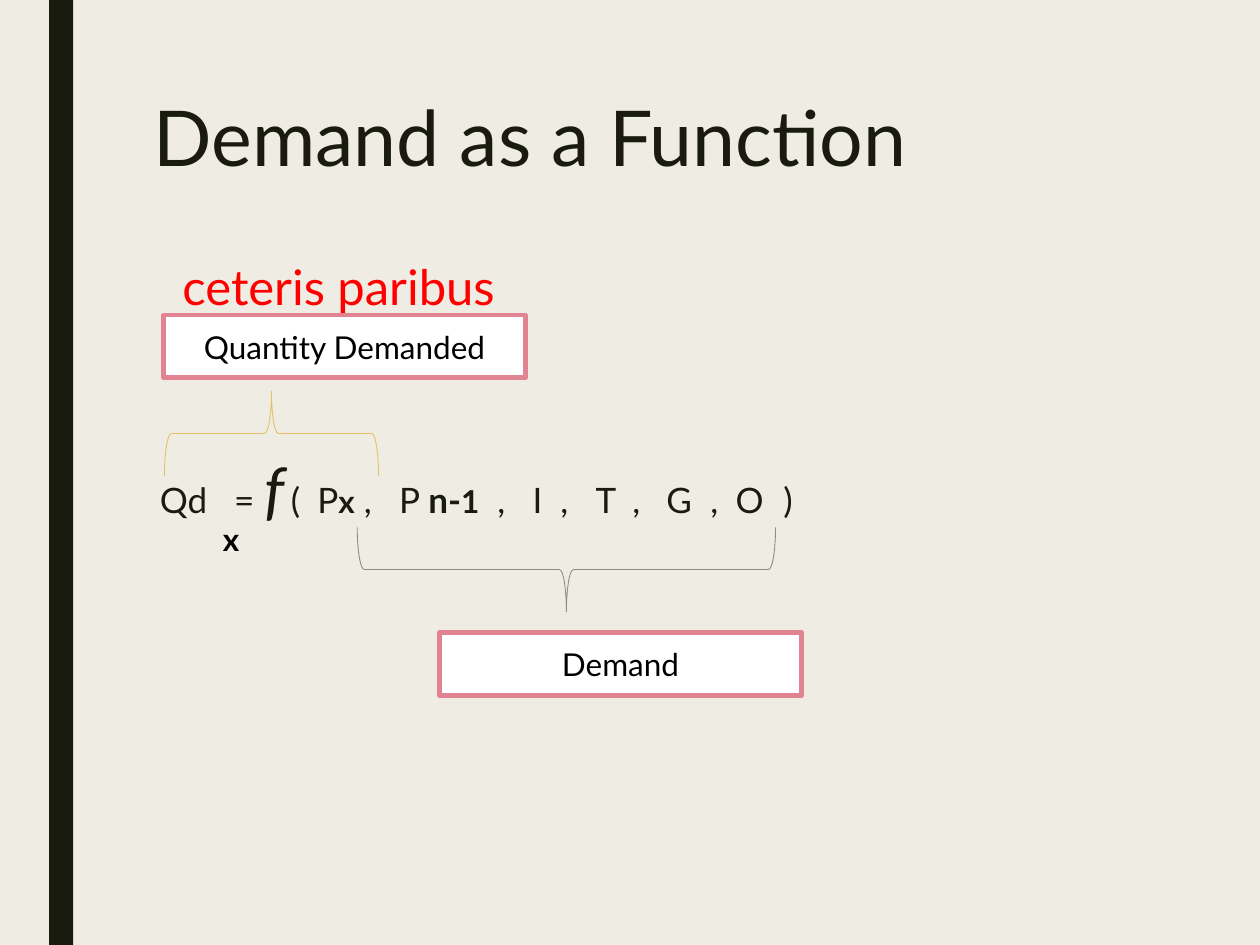
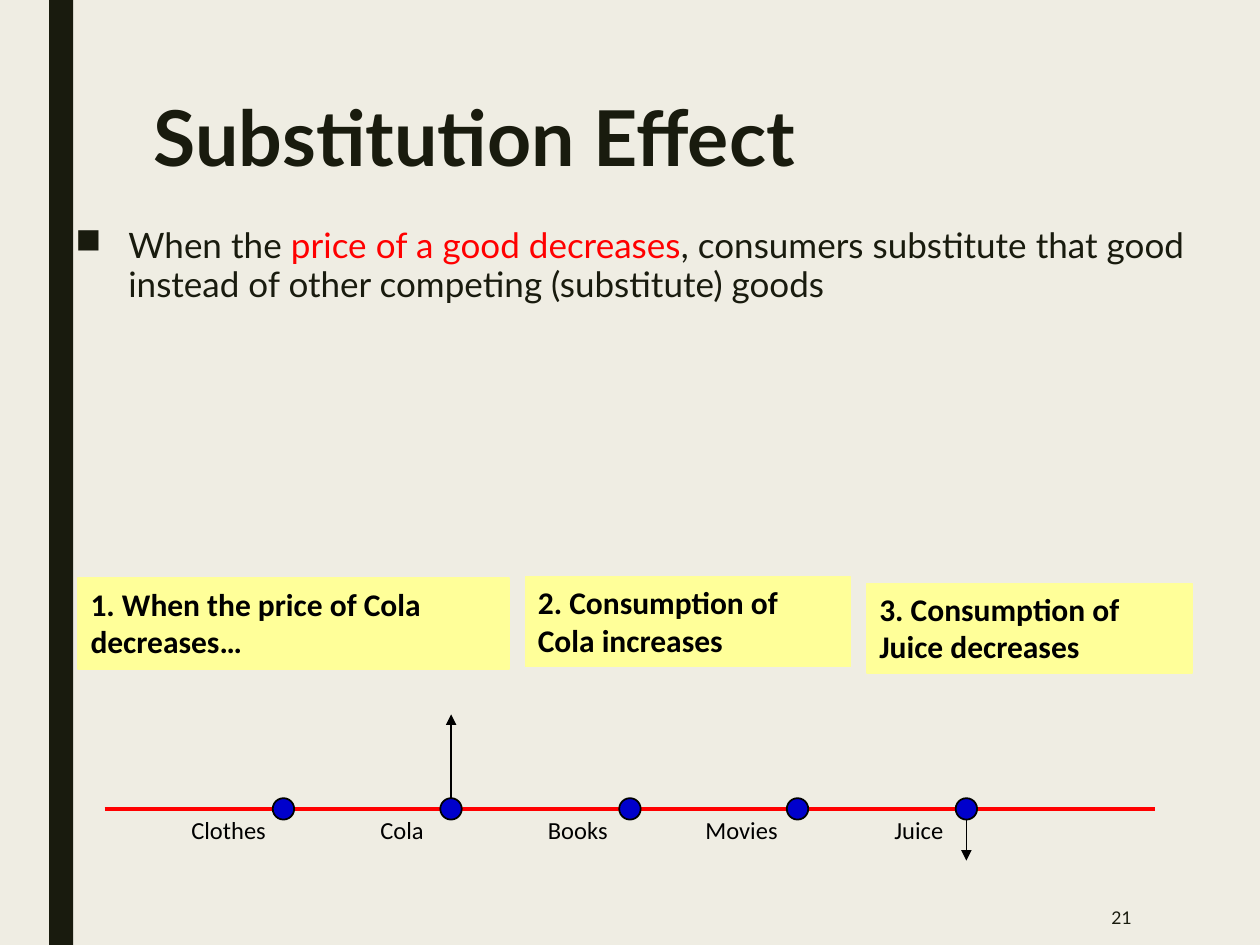
from lxml.etree import SubElement
from pptx import Presentation
from pptx.dml.color import RGBColor
from pptx.enum.shapes import MSO_CONNECTOR, MSO_SHAPE
from pptx.enum.text import MSO_ANCHOR, MSO_AUTO_SIZE, PP_ALIGN
from pptx.oxml.ns import qn
from pptx.util import Inches, Pt

CREAM = RGBColor(0xEF, 0xED, 0xE3)
INK = RGBColor(0x19, 0x1B, 0x0E)
BLACK = RGBColor(0, 0, 0)
WHITE = RGBColor(0xFF, 0xFF, 0xFF)
RED = RGBColor(0xFF, 0, 0)
PINK = RGBColor(0xE2, 0x83, 0x94)
GOLD = RGBColor(0xE6, 0xC0, 0x69)
GREY = RGBColor(0x8C, 0x8D, 0x86)
BLUE = RGBColor(0, 0, 0xCC)
YELLOW = RGBColor(0xFF, 0xFF, 0x99)
HEADING_FONT, LABEL_FONT = "Lato", "Calibri"

# Tab stop in inches (None: follows directly), text, size, bold, italic
DEMAND_FORMULA = [
    (None, "Qd", 20, False, False), (0.59, "=", 20, False, False),
    (0.83, "f", 36, False, True), (1.04, "(", 20, False, False),
    (1.25, "P", 20, False, False), (None, "x", 18, True, False),
    (1.62, ",", 20, False, False), (1.9, "P ", 20, False, False),
    (None, "n-", 20, True, False), (None, "1", 18, True, False),
    (2.68, ",", 20, False, False), (2.96, "I", 20, False, False),
    (3.18, ",", 20, False, False), (3.46, "T", 20, False, False),
    (3.75, ",", 20, False, False), (4.02, "G", 20, False, False),
    (4.37, ",", 20, False, False), (4.57, "O", 20, False, False),
    (4.95, ")", 20, False, False),
]
# Unrotated frame, rotation, colour
BRACES = [((4.16, 2.86, 0.67, 3.32), 90, GREY), ((1.82, 2.59, 0.67, 1.7), 270, GOLD)]
# Text, left, top
TERM_BOXES = [("Quantity Demanded", 1.3, 2.5), ("Demand", 3.49, 5.02)]

SUBSTITUTION_TEXT = [
    ("When the ", INK),
    ("price of a good decreases", RED),
    (", consumers substitute that good instead of other competing (substitute) goods", INK),
]
# Text, frame
STEPS = [
    ("1. When the price of Cola decreases…", (0.62, 4.59, 3.42, 0.72)),
    ("2. Consumption of Cola increases", (4.17, 4.58, 2.58, 0.71)),
    ("3. Consumption of Juice decreases", (6.88, 4.63, 2.58, 0.71)),
]
# Name, label left, dot centre, where its arrow ends
GOODS = [
    ("Clothes", 1.42, 2.25, None),
    ("Cola", 2.92, 3.58, 5.67),
    ("Books", 4.25, 5.0, None),
    ("Movies", 5.5, 6.33, None),
    ("Juice", 7.0, 7.67, 6.83),
]
AXIS_Y, DOT_SIZE = 6.42, 0.17


def inches(frame):
    return [Inches(length) for length in frame]


def style_run(run, size, color=INK, font=HEADING_FONT, bold=False, italic=False):
    run.font.name = font
    run.font.size = Pt(size)
    run.font.color.rgb = color
    run.font.bold = bold
    run.font.italic = italic


def add_run(paragraph, text, size, **style):
    run = paragraph.add_run()
    run.text = text
    style_run(run, size, **style)


def add_text_box(slide, frame, wrap=True):
    text_frame = slide.shapes.add_textbox(*inches(frame)).text_frame
    text_frame.word_wrap = wrap
    return text_frame


def add_shape(slide, kind, frame, fill=None, line=None, width=1):
    shape = slide.shapes.add_shape(kind, *inches(frame))
    shape.shadow.inherit = False
    if fill is None:
        shape.fill.background()
    else:
        shape.fill.solid()
        shape.fill.fore_color.rgb = fill
    if line is None:
        shape.line.fill.background()
    else:
        shape.line.color.rgb = line
        shape.line.width = Pt(width)
    return shape


def add_line(slide, start, end, color, width, arrow=False):
    connector = slide.shapes.add_connector(MSO_CONNECTOR.STRAIGHT, *inches(start + end))
    connector.line.color.rgb = color
    connector.line.width = Pt(width)
    properties = connector._element.spPr
    if arrow:
        SubElement(properties.find(qn("a:ln")), qn("a:tailEnd"), type="triangle")
    SubElement(properties, qn("a:effectLst"))


def add_slide(presentation, title, bold=False):
    """Add a slide with the dark side band and a title."""
    slide = presentation.slides.add_slide(presentation.slide_layouts[5])
    add_shape(slide, MSO_SHAPE.RECTANGLE, (0.39, 0, 0.19, 7.5), INK)
    placeholder = slide.shapes.title
    placeholder.left, placeholder.top, placeholder.width, placeholder.height = inches(
        (1.12, 0.75, 7.88, 1.62))
    text_frame = placeholder.text_frame
    text_frame.text = title
    text_frame.auto_size = MSO_AUTO_SIZE.NONE
    text_frame.vertical_anchor = MSO_ANCHOR.TOP
    paragraph = text_frame.paragraphs[0]
    paragraph.alignment = PP_ALIGN.LEFT
    paragraph.line_spacing = 0.89
    style_run(paragraph.runs[0], 44, bold=bold)
    return slide


def add_formula(paragraph):
    tab_list = SubElement(paragraph._p.get_or_add_pPr(), qn("a:tabLst"))
    for stop, text, size, bold, italic in DEMAND_FORMULA:
        if stop is not None:
            SubElement(tab_list, qn("a:tab"), pos=str(Inches(stop)), algn="l")
            add_run(paragraph, "\t", 20)
        add_run(paragraph, text, size, bold=bold, italic=italic)


def build_demand_slide(presentation):
    slide = add_slide(presentation, "Demand as a Function")
    text_frame = add_text_box(slide, (1.17, 1.75, 8.33, 3.92))
    condition = text_frame.paragraphs[0]
    condition.line_spacing = 1.5
    condition.space_after = Pt(2)
    condition._p.get_or_add_pPr().set("marL", str(Inches(0.18)))
    add_run(condition, "ceteris paribus", 28, color=RED)
    formula = text_frame.add_paragraph()
    formula.line_spacing = 0.94
    formula.space_before = Pt(79)
    add_formula(formula)

    subscript = add_text_box(slide, (1.67, 4.08, 0.32, 0.4), wrap=False)
    add_run(subscript.paragraphs[0], "x", 18, color=BLACK, bold=True)

    for frame, rotation, color in BRACES:
        brace = add_shape(slide, MSO_SHAPE.RIGHT_BRACE, frame, line=color, width=0.5)
        brace.rotation = rotation
    for text, left, top in TERM_BOXES:
        box = add_shape(slide, MSO_SHAPE.RECTANGLE, (left, top, 2.87, 0.5), WHITE, PINK, 2.75)
        box.text_frame.vertical_anchor = MSO_ANCHOR.MIDDLE
        paragraph = box.text_frame.paragraphs[0]
        paragraph.alignment = PP_ALIGN.CENTER
        add_run(paragraph, text, 18, color=BLACK)


def add_goods_axis(slide):
    for _, _, center, arrow_end in GOODS:
        if arrow_end is not None:
            add_line(slide, (center, AXIS_Y), (center, arrow_end), BLACK, 1, arrow=True)
    add_line(slide, (0.83, AXIS_Y), (9.17, AXIS_Y), RED, 2.25)
    radius = DOT_SIZE / 2
    for name, label_left, center, _ in GOODS:
        width = center + radius - label_left
        label = add_text_box(slide, (label_left, AXIS_Y, width, 0.33))
        add_run(label.paragraphs[0], name, 14, color=BLACK, font=LABEL_FONT)
        dot_frame = (center - radius, AXIS_Y - radius, DOT_SIZE, DOT_SIZE)
        add_shape(slide, MSO_SHAPE.OVAL, dot_frame, BLUE, BLACK)


def build_substitution_slide(presentation):
    slide = add_slide(presentation, "Substitution Effect", bold=True)
    paragraph = add_text_box(slide, (0.5, 1.75, 9, 1.8)).paragraphs[0]
    paragraph.alignment = PP_ALIGN.JUSTIFY
    paragraph.line_spacing = 0.94
    properties = paragraph._p.get_or_add_pPr()
    properties.set("marL", str(Inches(0.42)))
    properties.set("indent", str(Inches(-0.42)))
    SubElement(properties, qn("a:buChar"), char="■")
    for text, color in SUBSTITUTION_TEXT:
        add_run(paragraph, text, 20, color=color)

    add_goods_axis(slide)
    for text, frame in STEPS:
        box = add_shape(slide, MSO_SHAPE.RECTANGLE, frame, YELLOW, YELLOW)
        box.text_frame.vertical_anchor = MSO_ANCHOR.TOP
        paragraph = box.text_frame.paragraphs[0]
        paragraph.alignment = PP_ALIGN.LEFT
        add_run(paragraph, text, 18, color=BLACK, font=LABEL_FONT, bold=True)

    number = add_text_box(slide, (7.77, 7.06, 1.31, 0.44))
    number.vertical_anchor = MSO_ANCHOR.MIDDLE
    number.paragraphs[0].alignment = PP_ALIGN.RIGHT
    add_run(number.paragraphs[0], "21", 10)


def main():
    presentation = Presentation()
    presentation.slide_width, presentation.slide_height = Inches(10), Inches(7.5)
    background = presentation.slide_master.background.fill
    background.solid()
    background.fore_color.rgb = CREAM
    build_demand_slide(presentation)
    build_substitution_slide(presentation)
    presentation.save("out.pptx")


if __name__ == "__main__":
    main()
